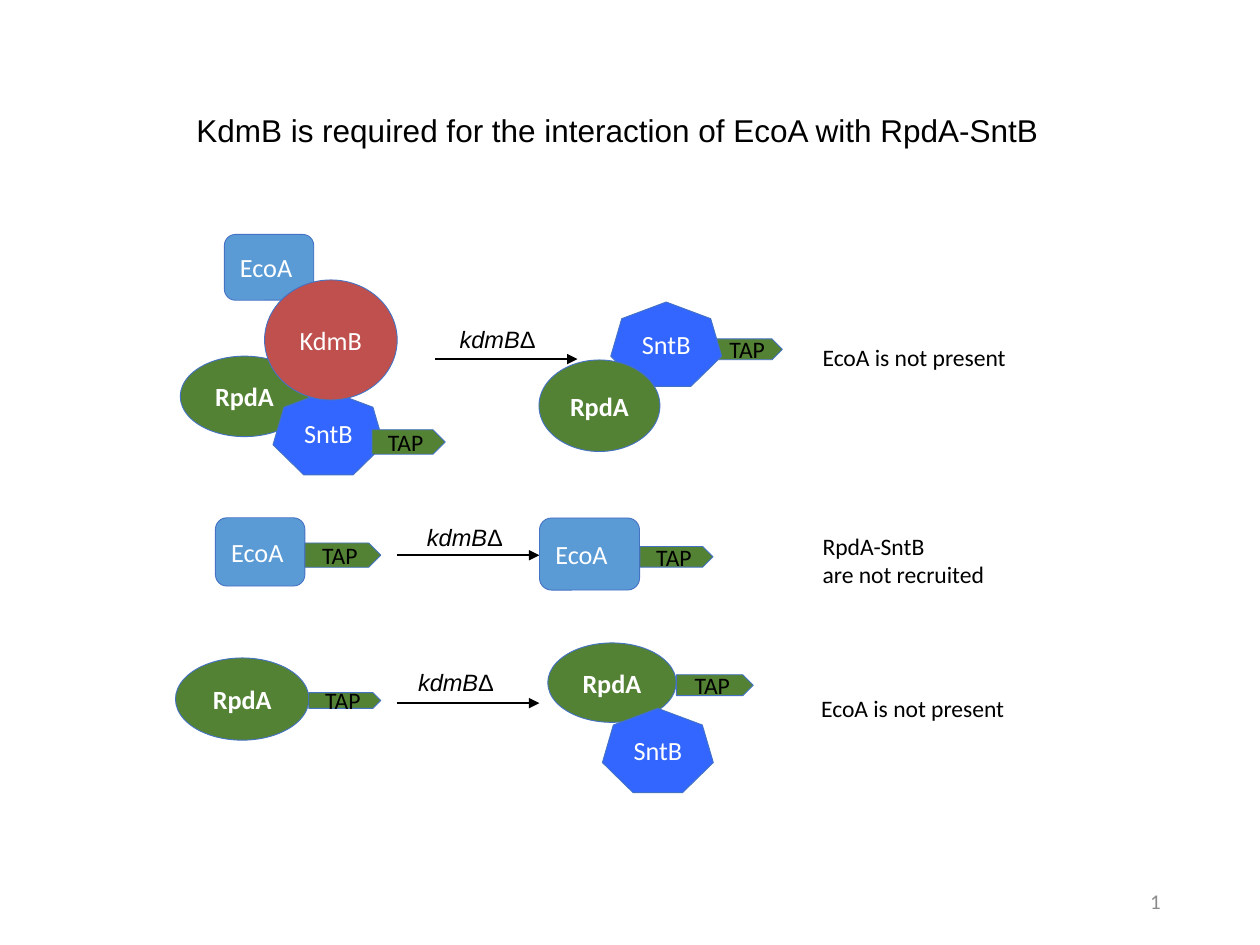
from dataclasses import dataclass

from lxml import etree
from pptx import Presentation, util as u
from pptx.dml.color import RGBColor
from pptx.enum import shapes, text
from pptx.oxml.ns import qn

SHAPE = shapes.MSO_SHAPE
ALIGN = text.PP_ALIGN
ANCHOR = text.MSO_ANCHOR


@dataclass(frozen=True)
class Theme:
    body_font: str = "Calibri"
    head_font: str = "Arial"
    black: str = "000000"
    white: str = "FFFFFF"
    grey: str = "8C8C8C"
    outline: str = "4472C4"
    green: str = "548235"
    blue: str = "3366FF"
    sky: str = "5B9BD5"
    red: str = "C0504D"
    title_size: float = 18
    protein_size: float = 15
    label_size: float = 13.5
    number_size: float = 12


class Diagram:
    def __init__(self, slide, theme):
        self.slide = slide
        self.theme = theme
        self.proteins = {
            "RpdA": (SHAPE.OVAL, theme.green, ALIGN.CENTER),
            "SntB": (SHAPE.HEPTAGON, theme.blue, ALIGN.CENTER),
            "EcoA": (SHAPE.ROUNDED_RECTANGLE, theme.sky, ALIGN.LEFT),
            "KdmB": (SHAPE.OVAL, theme.red, ALIGN.CENTER),
        }

    def style(self, paragraph, size, color, font=None, align=ALIGN.LEFT):
        paragraph.alignment = align
        paragraph.font.size = u.Pt(size)
        paragraph.font.name = font or self.theme.body_font
        paragraph.font.color.rgb = RGBColor.from_string(color)

    def block(self, kind, fill, label, box, size, color, align):
        shape = self.slide.shapes.add_shape(kind, *map(u.Pt, box))
        shape.shadow.inherit = False
        shape.fill.solid()
        shape.fill.fore_color.rgb = RGBColor.from_string(fill)
        shape.line.color.rgb = RGBColor.from_string(self.theme.outline)
        shape.line.width = u.Pt(0.5)
        frame = shape.text_frame
        frame.vertical_anchor = ANCHOR.MIDDLE
        frame.text = label
        self.style(frame.paragraphs[0], size, color, align=align)
        return shape

    def protein(self, name, *box):
        kind, fill, align = self.proteins[name]
        shape = self.block(kind, fill, name, box, self.theme.protein_size,
                           self.theme.white, align)
        if name == "RpdA":
            shape.text_frame.paragraphs[0].font.bold = True

    def tag(self, *box):
        shape = self.block(SHAPE.PENTAGON, self.theme.green, "TAP", box,
                           self.theme.label_size, self.theme.black, ALIGN.CENTER)
        shape.text_frame.word_wrap = False

    def arrow(self, left, top, length=81.4):
        line = self.slide.shapes.add_connector(
            shapes.MSO_CONNECTOR.STRAIGHT,
            u.Pt(left), u.Pt(top), u.Pt(left + length), u.Pt(top))
        line.line.color.rgb = RGBColor.from_string(self.theme.black)
        line.line.width = u.Pt(1)
        outline = line.line._get_or_add_ln()
        etree.SubElement(outline, qn("a:tailEnd"), type="triangle")
        etree.SubElement(line._element.spPr, qn("a:effectLst"))

    def text_box(self, box, anchor=ANCHOR.TOP, wrap=False):
        frame = self.slide.shapes.add_textbox(*map(u.Pt, box)).text_frame
        frame.word_wrap = wrap
        frame.vertical_anchor = anchor
        return frame

    def title(self, content, *box):
        frame = self.text_box(box, ANCHOR.MIDDLE, True)
        frame.text = content
        paragraph = frame.paragraphs[0]
        paragraph.line_spacing = 0.9
        self.style(paragraph, self.theme.title_size, self.theme.black,
                   self.theme.head_font)

    def page_number(self, number, *box):
        frame = self.text_box(box, ANCHOR.MIDDLE, True)
        frame.text = str(number)
        self.style(frame.paragraphs[0], self.theme.number_size,
                   self.theme.grey, align=ALIGN.RIGHT)

    def result(self, content, *box):
        frame = self.text_box(box)
        frame.text = content
        for paragraph in frame.paragraphs:
            self.style(paragraph, self.theme.label_size, self.theme.black)

    def deletion(self, left, top):
        paragraph = self.text_box((left, top, 61.2, 23.8)).paragraphs[0]
        self.style(paragraph, self.theme.label_size, self.theme.black,
                   self.theme.head_font)
        gene = paragraph.add_run()
        gene.text = "kdmB"
        gene.font.italic = True
        paragraph.add_run().text = "Δ"


def main():
    presentation = Presentation()
    presentation.slide_width = u.Pt(720)
    presentation.slide_height = u.Pt(540)
    slide = presentation.slides.add_slide(presentation.slide_layouts[6])
    diagram = Diagram(slide, Theme())

    diagram.title("KdmB is required for the interaction of EcoA with RpdA-SntB",
                  105.1, 45.4, 521.3, 60.5)
    diagram.page_number(1, 508.3, 500.4, 162, 28.8)

    diagram.protein("RpdA", 103, 203.5, 73.4, 46)
    diagram.protein("SntB", 156, 223.2, 63.4, 48.2)
    diagram.protein("EcoA", 128.2, 134, 51.1, 37.6)
    diagram.protein("KdmB", 151.2, 160, 75.8, 68.6)
    diagram.tag(212.6, 245.6, 41.8, 14)
    diagram.arrow(248.6, 205.2)
    diagram.deletion(255.6, 182.2)
    diagram.tag(409.7, 193.7, 37.4, 11.9)
    diagram.protein("SntB", 349, 172.6, 63.4, 48.2)
    diagram.protein("RpdA", 308, 205.7, 69.1, 52.3)
    diagram.result("EcoA is not present", 463, 192.2, 120.2, 23.8)

    diagram.protein("EcoA", 123.1, 295.9, 51.1, 39)
    diagram.tag(174.2, 310.3, 43.4, 13.9)
    diagram.arrow(226.8, 317.3)
    diagram.deletion(236.9, 295.2)
    diagram.protein("EcoA", 308.3, 296, 57.2, 41.2)
    diagram.tag(365.6, 312.3, 41.8, 11.8)
    diagram.result("RpdA-SntB\nare not recruited", 463, 300.2, 108, 40.3)

    diagram.protein("RpdA", 100.3, 376, 76.3, 47)
    diagram.tag(176.4, 395.8, 41.2, 9)
    diagram.arrow(226.8, 401.8)
    diagram.deletion(231.8, 378)
    diagram.protein("RpdA", 313, 367.4, 73.4, 45.4)
    diagram.tag(386.5, 385.6, 43.9, 11.9)
    diagram.protein("SntB", 344.2, 404.8, 63.4, 48.2)
    diagram.result("EcoA is not present", 462.2, 393.1, 120.2, 23.8)

    presentation.save("out.pptx")


if __name__ == "__main__":
    main()
